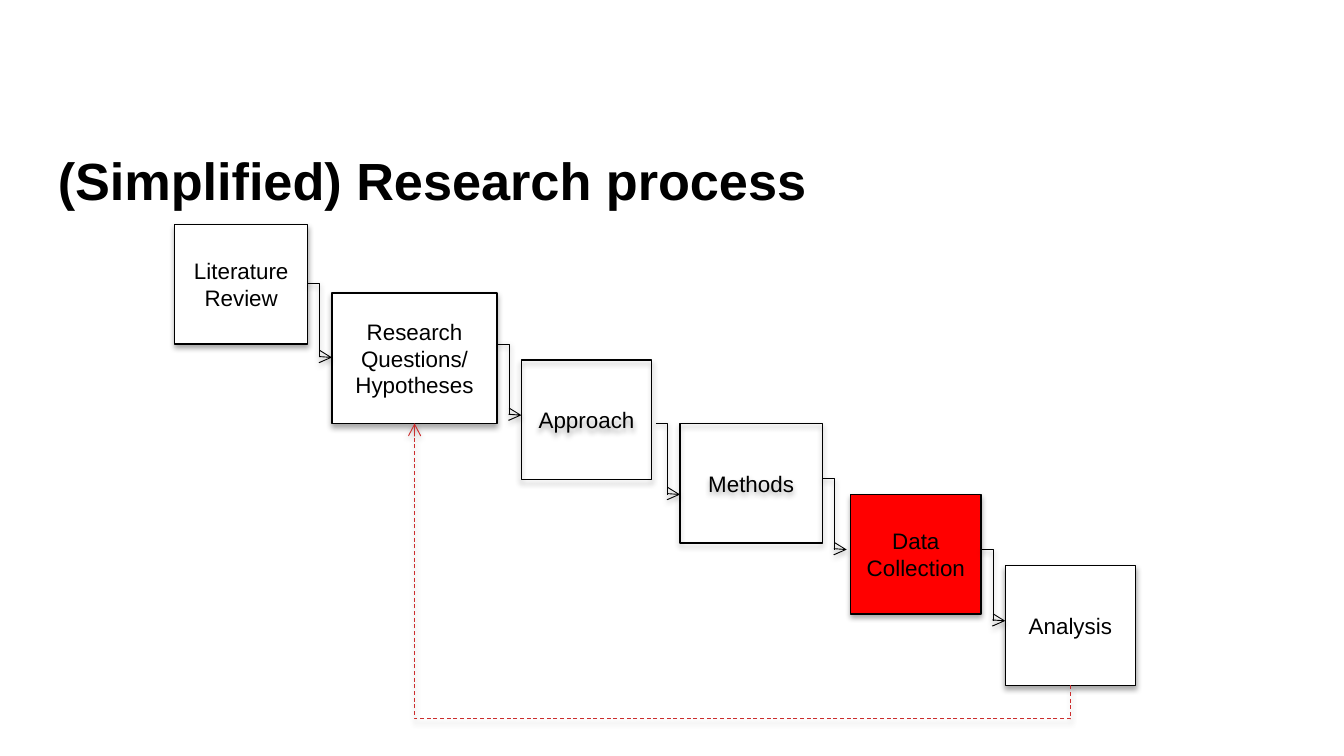
from lxml import etree
from pptx import Presentation
from pptx.dml.color import RGBColor
from pptx.enum.dml import MSO_LINE
from pptx.enum.shapes import MSO_CONNECTOR, MSO_SHAPE
from pptx.enum.text import MSO_ANCHOR as Anchor, PP_ALIGN as Align
from pptx.oxml.ns import qn
from pptx.util import Inches, Pt

COLORS = {"ink": "000000", "paper": "FFFFFF", "active": "FF0000", "feedback": "CC2D2D"}
TITLE_FONT = {"name": "Arial", "size": Pt(28), "bold": True}
STAGE_FONT = {"name": "Arial", "size": Pt(12), "bold": False}
TITLE_FRAME = {"margin_left": 0, "margin_right": 0, "margin_top": 0,
               "margin_bottom": 0, "word_wrap": True}
STAGE_FRAME = {"vertical_anchor": Anchor.MIDDLE, "word_wrap": True}

# Label, left, top, width, height, fill
STAGES = [
    ("Literature Review", 1.3, 1.67, 0.99, 0.89, "paper"),
    ("Research Questions/ Hypotheses", 2.47, 2.18, 1.23, 0.97, "paper"),
    ("Approach", 3.88, 2.68, 0.97, 0.89, None),
    ("Methods", 5.06, 3.15, 1.06, 0.89, None),
    ("Data Collection", 6.33, 3.68, 0.97, 0.89, "active"),
    ("Analysis", 7.48, 4.21, 0.97, 0.89, "paper"),
]
# Start of each step arrow and its drop
STEP_WIDTH = 0.18
STEPS = [(2.29, 2.11, 0.55), (3.7, 2.56, 0.53), (4.88, 3.15, 0.53),
         (6.12, 3.56, 0.53), (7.3, 4.09, 0.53)]


def rgb(key):
    return RGBColor.from_string(COLORS[key])


def apply_format(target, values):
    for attribute, value in values.items():
        setattr(target, attribute, value)


def write(frame, text, font_format, align):
    paragraph = frame.paragraphs[0]
    paragraph.alignment = align
    run = paragraph.add_run()
    run.text = text
    apply_format(run.font, font_format)
    run.font.color.rgb = rgb("ink")


def add_shadow(properties, distance, opacity):
    """Drop a soft shadow straight down."""
    effects = properties.find(qn("a:effectLst"))
    if effects is None:
        effects = etree.SubElement(properties, qn("a:effectLst"))
    shadow = etree.SubElement(effects, qn("a:outerShdw"), blurRad=str(Pt(3.1)),
                              dist=str(Pt(distance)), dir="5400000", rotWithShape="0")
    color = etree.SubElement(shadow, qn("a:srgbClr"), val=COLORS["ink"])
    etree.SubElement(color, qn("a:alpha"), val=str(opacity * 1000))


def add_title(slide, text):
    title = slide.shapes.add_textbox(Inches(0.43), Inches(1.1), Inches(9.21), Inches(0.71))
    apply_format(title.text_frame, TITLE_FRAME)
    write(title.text_frame, text, TITLE_FONT, Align.LEFT)


def add_stage(slide, label, left, top, width, height, fill):
    stage = slide.shapes.add_shape(MSO_SHAPE.RECTANGLE, Inches(left), Inches(top),
                                   Inches(width), Inches(height))
    if fill:
        stage.fill.solid()
        stage.fill.fore_color.rgb = rgb(fill)
    else:
        stage.fill.background()
    stage.line.color.rgb = rgb("ink")
    stage.line.width = Pt(0.75)
    stage.shadow.inherit = False
    add_shadow(stage._element.spPr, 1.8, 35)
    apply_format(stage.text_frame, STAGE_FRAME)
    write(stage.text_frame, label, STAGE_FONT, Align.CENTER)


def bottom_center(stage):
    _, left, top, width, height, _ = stage
    return left + width / 2, top + height


def add_elbow_arrow(slide, start, end, color, dash=None):
    arrow = slide.shapes.add_connector(MSO_CONNECTOR.ELBOW, *map(Inches, start + end))
    arrow.line.color.rgb = rgb(color)
    apply_format(arrow.line, {"width": Pt(0.5), "dash_style": dash})
    properties = arrow._element.spPr
    etree.SubElement(properties.find(qn("a:ln")), qn("a:tailEnd"), type="arrow")
    add_shadow(properties, 1.6, 38)
    return arrow


def add_feedback_loop(slide, start, end, bottom):
    """Run from start down to bottom, across, and up to end: a quarter-turned elbow."""
    middle_x, middle_y = (start[0] + end[0]) / 2, (start[1] + end[1]) / 2
    across, rise = start[0] - end[0], start[1] - end[1]
    loop = add_elbow_arrow(slide, (middle_x + rise / 2, middle_y - across / 2),
                           (middle_x - rise / 2, middle_y + across / 2),
                           "feedback", MSO_LINE.DASH)
    properties = loop._element.spPr
    properties.find(qn("a:xfrm")).set("rot", "5400000")
    geometry = properties.find(qn("a:prstGeom"))
    guides = geometry.find(qn("a:avLst"))
    if guides is None:
        guides = etree.SubElement(geometry, qn("a:avLst"))
    bend = round((start[1] - bottom) / rise * 100000)
    etree.SubElement(guides, qn("a:gd"), name="adj1", fmla=f"val {bend}")


def main():
    # Widescreen, 16:9
    deck = Presentation()
    deck.slide_width = Inches(10)
    deck.slide_height = Inches(10) * 9 // 16
    slide = deck.slides.add_slide(deck.slide_layouts[6])

    # Heading
    add_title(slide, "(Simplified) Research process")

    # Descending stages
    for stage in STAGES:
        add_stage(slide, *stage)

    # Arrows between stages
    for left, top, drop in STEPS:
        add_elbow_arrow(slide, (left, top), (left + STEP_WIDTH, top + drop), "ink")

    # Way back from analysis to the research questions
    add_feedback_loop(slide, bottom_center(STAGES[-1]), bottom_center(STAGES[1]), 5.35)

    deck.save("out.pptx")


if __name__ == "__main__":
    main()
